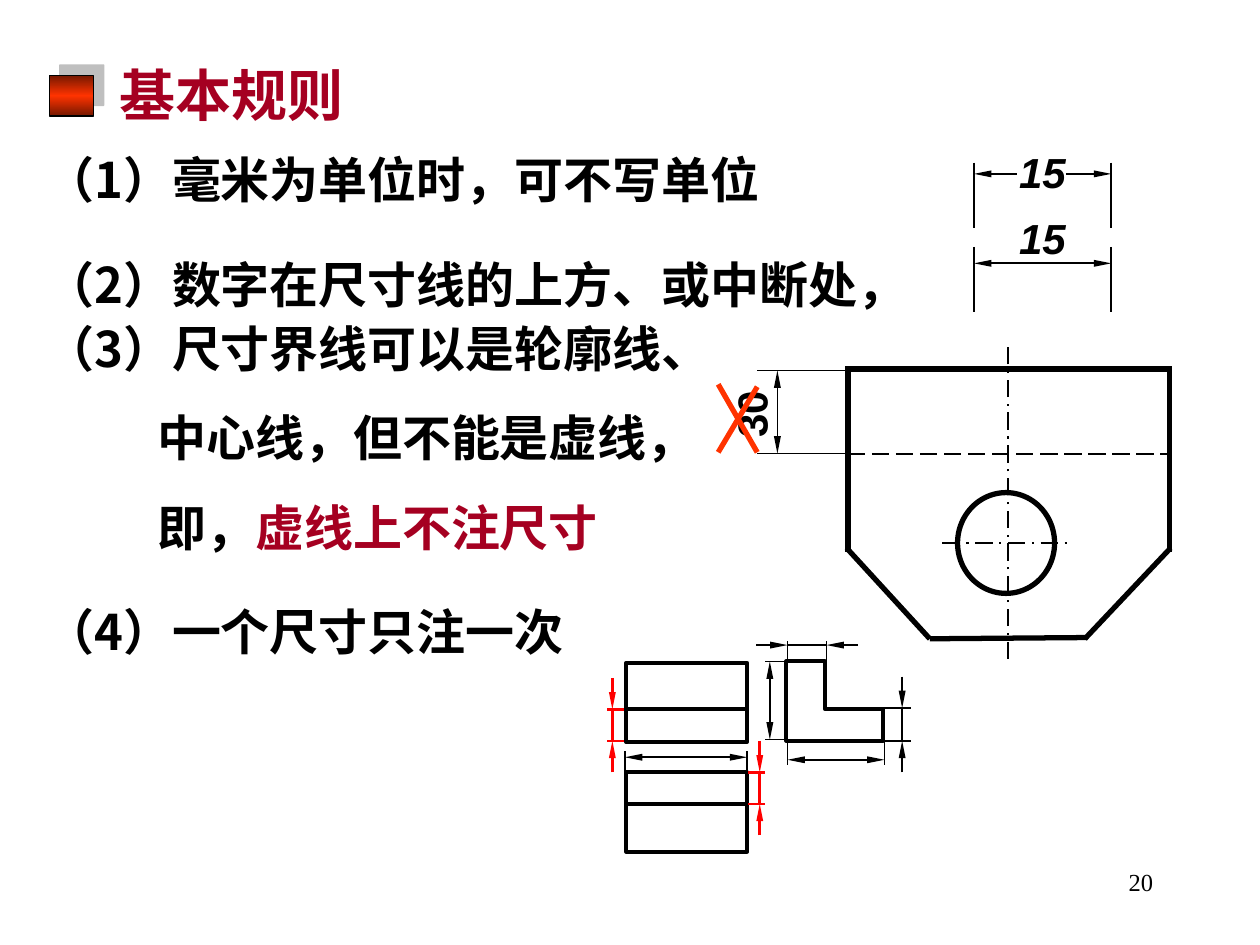
import pptx
import pptx.util
import pptx.dml.color
import pptx.enum.dml
import pptx.enum.shapes
import pptx.enum.text
import pptx.oxml.ns
import copy
import dataclasses
import lxml.etree

CELL = 9144
ALIGN = pptx.enum.text.PP_ALIGN
KIND = pptx.enum.shapes.MSO_SHAPE
DASH = pptx.enum.dml.MSO_LINE
tag = pptx.oxml.ns.qn


@dataclasses.dataclass(frozen=True)
class Theme:
    """Colours, fonts and type sizes of the slide."""
    ink: str = "000000"
    accent: str = "A50021"
    mark: str = "FF0000"
    cross: str = "FF3300"
    rust: str = "761800"
    shade: str = "808080"
    main: str = "Noto Sans CJK SC"
    draft: str = "Arial"
    serif: str = "Times New Roman"
    head: int = 32
    body: int = 28
    figure: int = 24
    foot: int = 14


THEME = Theme()


def paint(code):
    """Turn a hex code into a colour."""
    return pptx.dml.color.RGBColor.from_string(code)


def place(shape, box):
    """Move a shape to a box given in grid cells."""
    shape.left, shape.top, shape.width, shape.height = (round(v * CELL) for v in box)


def inner(box, x, y):
    """Give the slide cell of an offset inside a box."""
    return box[0] + x, box[1] + y


def style(run, size, font=THEME.main, color=THEME.ink, bold=True, slant=False):
    """Format one run of text."""
    face = run.font
    face.size, face.name, face.bold, face.italic = pptx.util.Pt(size), font, bold, slant
    face.color.rgb = paint(color)
    east = lxml.etree.Element(tag("a:ea"), typeface=font)
    run._r.rPr.find(tag("a:latin")).addnext(east)


def label(slide, box, text, size, font, align=ALIGN.LEFT, turn=0, **look):
    """Add a single line of text in a box."""
    shape = slide.shapes.add_textbox(0, 0, 0, 0)
    place(shape, box)
    shape.rotation = turn
    frame = shape.text_frame
    frame.word_wrap = not turn
    frame.text = text
    frame.paragraphs[0].alignment = align
    style(frame.paragraphs[0].runs[0], size, font, **look)


def stroke(slide, start, end, width=1, color=THEME.ink, dash=None, heads=()):
    """Draw a straight line between two cells, with optional arrowheads."""
    ends = [round(v * CELL) for v in (*start, *end)]
    line = slide.shapes.add_connector(pptx.enum.shapes.MSO_CONNECTOR.STRAIGHT, *ends)
    line.line.width = pptx.util.Pt(width)
    line.line.color.rgb = paint(color)
    if dash:
        line.line.dash_style = dash
    for head in heads:
        lxml.etree.SubElement(line.line._ln, tag("a:" + head), type="triangle", w="sm", len="lg")
    lxml.etree.SubElement(line._element.spPr, tag("a:effectLst"))


def edge(shape, width):
    """Give a shape a plain black outline without fill or shadow."""
    shape.shadow.inherit = False
    shape.fill.background()
    shape.line.color.rgb = paint(THEME.ink)
    shape.line.width = pptx.util.Pt(width)


def outline(slide, box, points, width, close=True):
    """Draw an outline through offsets inside a box."""
    first, *rest = [inner(box, *point) for point in points]
    pen = slide.shapes.build_freeform(*first, scale=CELL)
    pen.add_line_segments(rest, close=close)
    edge(pen.convert_to_shape(), width)


def preset(slide, kind, box, width):
    """Draw an unfilled preset shape in a box."""
    shape = slide.shapes.add_shape(kind, 0, 0, 0, 0)
    place(shape, box)
    edge(shape, width)


def gauge(slide, box, flat, span, arms, level, reach=0, gap=None, **pen):
    """Draw a dimension: two extension lines and arrows at a level."""
    def spot(along, cross):
        """Map measured and crossing offsets to a slide cell."""
        return inner(box, along, cross) if flat else inner(box, cross, along)
    low, high = span
    for along in span:
        stroke(slide, spot(along, arms[0]), spot(along, arms[1]), **pen)
    if gap:
        stroke(slide, spot(low, level), spot(gap[0], level), heads=["headEnd"], **pen)
        stroke(slide, spot(gap[1], level), spot(high, level), heads=["tailEnd"], **pen)
        return
    heads = () if reach else ("headEnd", "tailEnd")
    stroke(slide, spot(low, level), spot(high, level), heads=heads, **pen)
    if reach:
        for far, near in ((low - reach, low), (high + reach, high)):
            stroke(slide, spot(far, level), spot(near, level), heads=["tailEnd"], **pen)


def badge(slide, box):
    """Draw the glowing square beside the title."""
    shape = slide.shapes.add_shape(KIND.RECTANGLE, 0, 0, 0, 0)
    place(shape, box)
    edge(shape, 0.75)
    shape.fill.gradient()
    shape.fill.gradient_angle = 90
    stops = shape.fill._fill._gradFill.find(tag("a:gsLst"))
    stops.append(copy.deepcopy(stops[-1]))
    for stop, code, share in zip(shape.fill.gradient_stops,
                                 (THEME.rust, THEME.cross, THEME.rust), (0, 0.5, 1)):
        stop.color.rgb = paint(code)
        stop.position = share
    glow = shape._element.spPr.find(tag("a:effectLst"))
    cast = lxml.etree.SubElement(glow, tag("a:outerShdw"), dist="107950", dir="18900000")
    tint = lxml.etree.SubElement(cast, tag("a:srgbClr"), val=THEME.shade)
    lxml.etree.SubElement(tint, tag("a:alpha"), val="50000")


def prose(shape, box):
    """Place a placeholder and clear its fitting rules."""
    place(shape, box)
    frame = shape.text_frame
    frame.auto_size = pptx.enum.text.MSO_AUTO_SIZE.NONE
    frame.vertical_anchor = pptx.enum.text.MSO_ANCHOR.TOP
    frame.word_wrap = True
    return frame


def title(slide, box):
    """Fill the title."""
    frame = prose(slide.shapes.title, box)
    frame.text = "基本规则"
    line = frame.paragraphs[0]
    line.alignment = ALIGN.CENTER
    line.line_spacing = pptx.util.Pt(THEME.head * 1.2)
    style(line.runs[0], THEME.head, color=THEME.accent)


def rules(slide, box):
    """Fill the body with the numbered rules."""
    frame = prose(slide.placeholders[1], box)
    items = (("（1）毫米为单位时，可不写单位", 0, 0),
             ("（2）数字在尺寸线的上方、或中断处，", 26, 0),
             ("（3）尺寸界线可以是轮廓线、", 3, 0),
             ("中心线，但不能是虚线，", 17.5, 89),
             ("即，", 17.5, 89),
             ("（4）一个尺寸只注一次", 26, 0))
    frame.text = "\n".join(item[0] for item in items)
    for line, (text, space, dent) in zip(frame.paragraphs, items):
        line.line_spacing = pptx.util.Pt(THEME.body * 1.2)
        line.space_before = pptx.util.Pt(space)
        prop = line._p.get_or_add_pPr()
        prop.set("marL", str(dent * CELL))
        prop.set("indent", "0")
        lxml.etree.SubElement(prop, tag("a:buNone"))
        style(line.runs[0], THEME.body)
    key = frame.paragraphs[4].add_run()
    key.text = "虚线上不注尺寸"
    style(key, THEME.body, color=THEME.accent)


def sample(slide, box, level, rise, gap=None):
    """Show a width of 15 with its number above or within the line."""
    gauge(slide, box, True, (0, box[2]), (0, box[3]), level, gap=gap)
    label(slide, (*inner(box, 26, -rise), 65, 50), "15", THEME.figure, THEME.draft, slant=True)


def plate(slide, box):
    """Draw the plate with a hole and its wrong dimension."""
    wide, high = box[2:]
    stroke(slide, inner(box, 129, 230), inner(box, 129, -21), 1.25, dash=DASH.LONG_DASH_DOT)
    stroke(slide, inner(box, 2, 67), inner(box, wide - 2, 67), 1.25, dash=DASH.LONG_DASH)
    for side in (((0, 0), (wide, 0)), ((2, 1), (2, 145)), ((wide - 2, 0), (wide - 2, 145)),
                 ((67, high), (wide - 67, high - 1)), ((wide - 69, high), (wide - 1, 142)),
                 ((67, high), (1, 142))):
        outline(slide, box, side, 3, close=False)
    preset(slide, KIND.OVAL, (*inner(box, 89, 98), 77, 80), 3)
    stroke(slide, inner(box, 77, 138), inner(box, 180, 138), 1.25, dash=DASH.LONG_DASH_DOT)
    gauge(slide, box, False, (1, 67), (0, -70), -54, width=0.75)
    label(slide, (*inner(box, -104, 11), 58, 50), "30", THEME.figure, THEME.draft,
          ALIGN.CENTER, 270)
    for start, end in (((-70, 14), (-101, 66)), ((-101, 12), (-70, 66))):
        stroke(slide, inner(box, *start), inner(box, *end), 3, THEME.cross)


def view(slide, box, split):
    """Draw a rectangular view with one inner edge."""
    preset(slide, KIND.RECTANGLE, box, 2.25)
    stroke(slide, inner(box, 0, split), inner(box, box[2], split), 2.25)


def block(slide, box):
    """Draw three views of the stepped block with their dimensions."""
    gauge(slide, box, True, (14, 111), (104, 87), 92)
    gauge(slide, box, True, (143, 220), (79, 98), 94)
    gauge(slide, box, False, (16, 78), (143, 125), 129)
    gauge(slide, box, True, (143, 174), (17, 0), 3, reach=25, width=0.75)
    gauge(slide, box, False, (53, 79), (219, 241), 234, reach=25)
    for top, split in ((17, 37), (104, 25)):
        view(slide, (*inner(box, 15, top), 96, 63), split)
    outline(slide, box, ((219, 54), (219, 79), (142, 79), (142, 16), (173, 16), (173, 54)), 2.25)
    for top, near, far, level in ((54, 13, 0, 4), (104, 112, 125, 121)):
        gauge(slide, box, False, (top, top + 25), (near, far), level, reach=25,
              width=1.5, color=THEME.mark)


def main():
    """Build and save the slide."""
    deck = pptx.Presentation()
    deck.slide_width, deck.slide_height = 1000 * CELL, 750 * CELL
    slide = deck.slides.add_slide(deck.slide_layouts[1])
    label(slide, (717, 683, 208, 50), "20", THEME.foot, THEME.serif, ALIGN.RIGHT, bold=False)
    rules(slide, (26, 114, 665, 461))
    sample(slide, (773, 196, 109, 52), 13, 32)
    sample(slide, (773, 129, 109, 52), 9, 18, (34, 73))
    plate(slide, (671, 293, 259, 214))
    block(slide, (482, 509, 241, 167))
    title(slide, (80, 43, 207, 64))
    badge(slide, (39, 60, 35, 32))
    deck.save("out.pptx")


if __name__ == "__main__":
    main()
